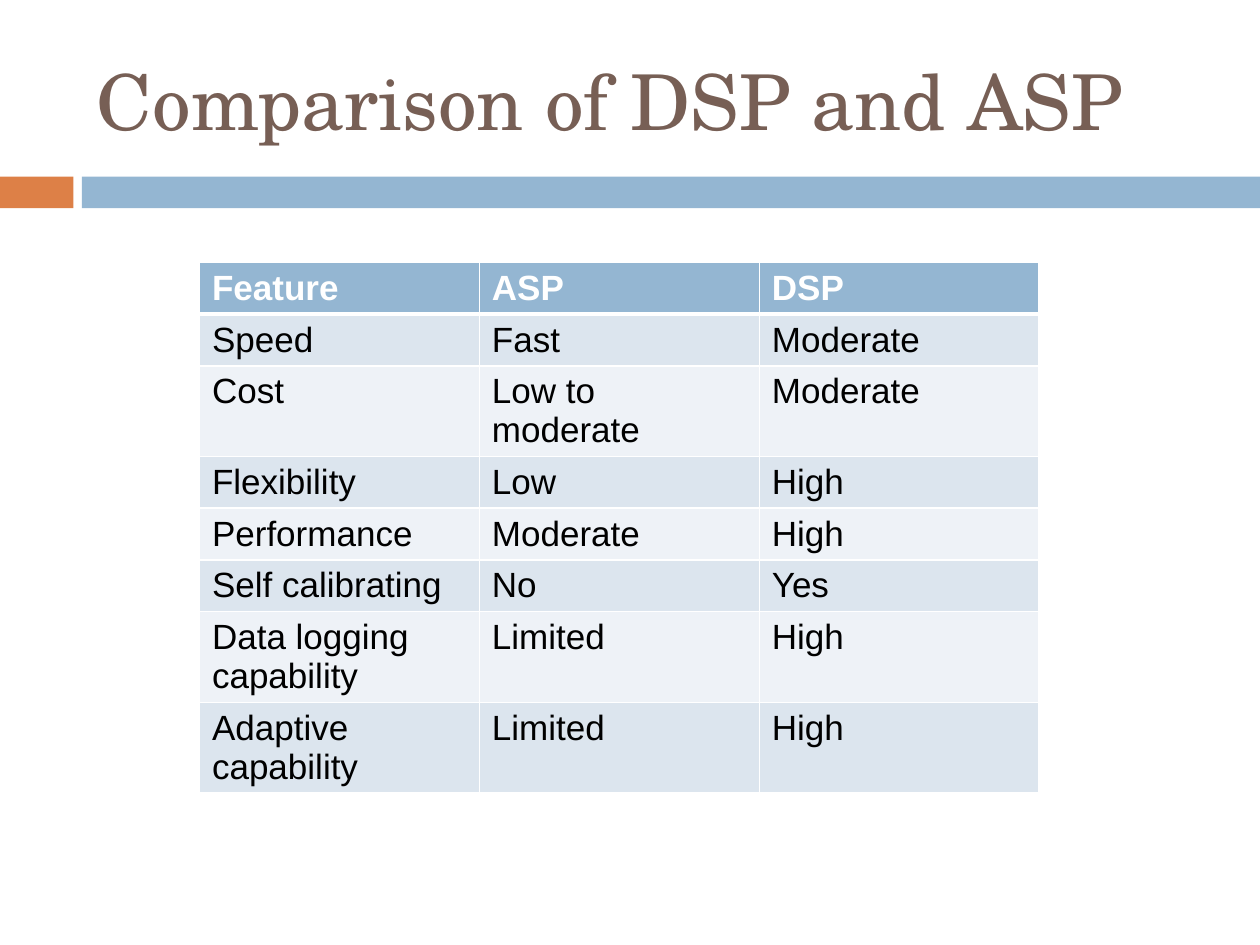
from lxml.etree import SubElement
from pptx import Presentation
from pptx.dml.color import RGBColor
from pptx.enum.shapes import MSO_SHAPE as Shape
from pptx.enum.text import MSO_ANCHOR as Anchor, MSO_AUTO_SIZE as AutoSize, PP_ALIGN as Align
from pptx.oxml.ns import qn
from pptx.util import Cm, Pt

ORANGE = RGBColor(0xDD, 0x80, 0x47)
BLUE = RGBColor(0x94, 0xB6, 0xD2)
BROWN = RGBColor(0x77, 0x5F, 0x55)
DARK_BAND = RGBColor(0xDC, 0xE5, 0xEE)
LIGHT_BAND = RGBColor(0xEE, 0xF2, 0xF7)
WHITE = RGBColor(0xFF, 0xFF, 0xFF)
BLACK = RGBColor(0x00, 0x00, 0x00)

TITLE_FONT = {"name": "TeX Gyre Schola", "size": Pt(44), "bold": False}
HEADER_FONT = {"name": "Arial", "size": Pt(20), "bold": True}
BODY_FONT = {**HEADER_FONT, "bold": False}
TITLE_FRAME = {"word_wrap": True, "auto_size": AutoSize.NONE, "vertical_anchor": Anchor.MIDDLE}

ROWS = [
    ("Feature", "ASP", "DSP"),
    ("Speed", "Fast", "Moderate"),
    ("Cost", "Low to moderate", "Moderate"),
    ("Flexibility", "Low", "High"),
    ("Performance", "Moderate", "High"),
    ("Self calibrating", "No", "Yes"),
    ("Data logging capability", "Limited", "High"),
    ("Adaptive capability", "Limited", "High"),
]


def set_attributes(target, values):
    for name, value in values.items():
        setattr(target, name, value)


def set_font(font, values, color):
    set_attributes(font, values)
    font.color.rgb = color


def add_ribbon(slide, left, top, width, height):
    tab, gap = Cm(1.48), Cm(0.17)
    bar_left = left + tab + gap
    for x, bar_width, color in (
        (left, tab, ORANGE),
        (bar_left, left + width - bar_left, BLUE),
    ):
        bar = slide.shapes.add_shape(Shape.RECTANGLE, x, top, bar_width, height)
        bar.shadow.inherit = False
        bar.fill.solid()
        bar.fill.fore_color.rgb = color
        bar.line.fill.background()


def place_title(slide, text, left, top, width, height):
    title = slide.shapes.title
    set_attributes(title, {"left": left, "top": top, "width": width, "height": height})
    title.text_frame.text = text
    set_attributes(title.text_frame, TITLE_FRAME)
    paragraph = title.text_frame.paragraphs[0]
    paragraph.alignment = Align.LEFT
    set_font(paragraph.runs[0].font, TITLE_FONT, BROWN)


def set_borders(cell, widths):
    properties = cell._tc.get_or_add_tcPr()
    for side, width in widths.items():
        line = SubElement(properties, qn(f"a:ln{side}"), w=str(Pt(width)))
        fill = SubElement(line, qn("a:solidFill"))
        SubElement(fill, qn("a:srgbClr"), val=str(WHITE))


def add_comparison(slide, rows, left, top, width, height):
    frame = slide.shapes.add_table(len(rows), len(rows[0]), left, top, width, height)
    table = frame.table
    for row_index, row in enumerate(rows):
        is_header = row_index == 0
        band = DARK_BAND if row_index % 2 else LIGHT_BAND
        borders = {
            "L": 1,
            "R": 1,
            "T": 3 if row_index == 1 else 1,
            "B": 3 if is_header else 1,
        }
        for column_index, text in enumerate(row):
            cell = table.cell(row_index, column_index)
            cell.text = text
            set_borders(cell, borders)
            cell.fill.solid()
            cell.fill.fore_color.rgb = BLUE if is_header else band
            set_font(
                cell.text_frame.paragraphs[0].runs[0].font,
                HEADER_FONT if is_header else BODY_FONT,
                WHITE if is_header else BLACK,
            )


def main():
    presentation = Presentation()
    set_attributes(presentation, {"slide_width": Cm(25.4), "slide_height": Cm(19.05)})
    slide = presentation.slides.add_slide(presentation.slide_layouts[5])
    add_ribbon(slide, 0, Cm(3.56), presentation.slide_width, Cm(0.64))
    place_title(slide, "Comparison of DSP and ASP", Cm(1.7), Cm(0.64), Cm(22.66), Cm(2.74))
    add_comparison(slide, ROWS, Cm(4.02), Cm(5.29), Cm(16.93), Cm(8.33))
    presentation.save("out.pptx")


if __name__ == "__main__":
    main()
